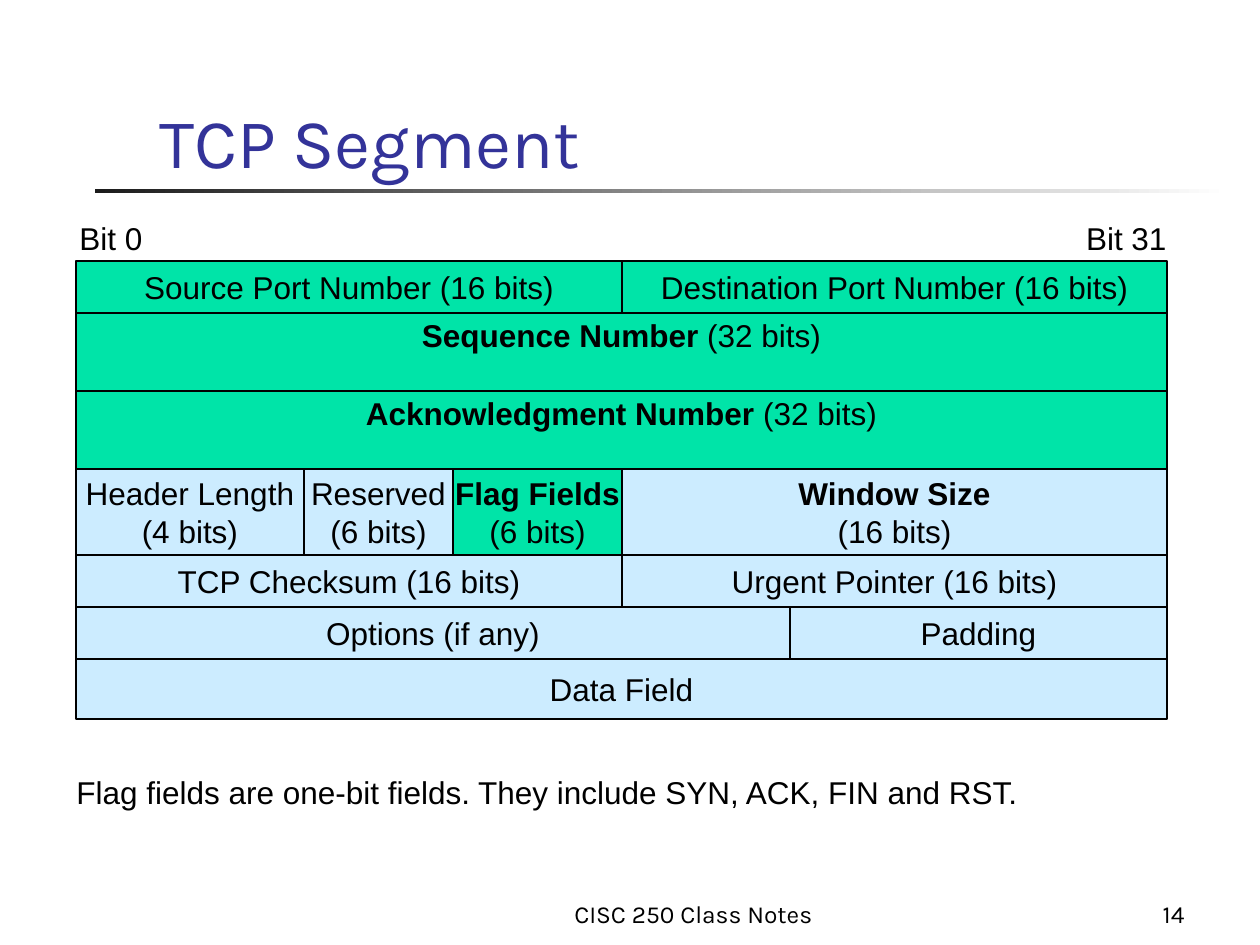
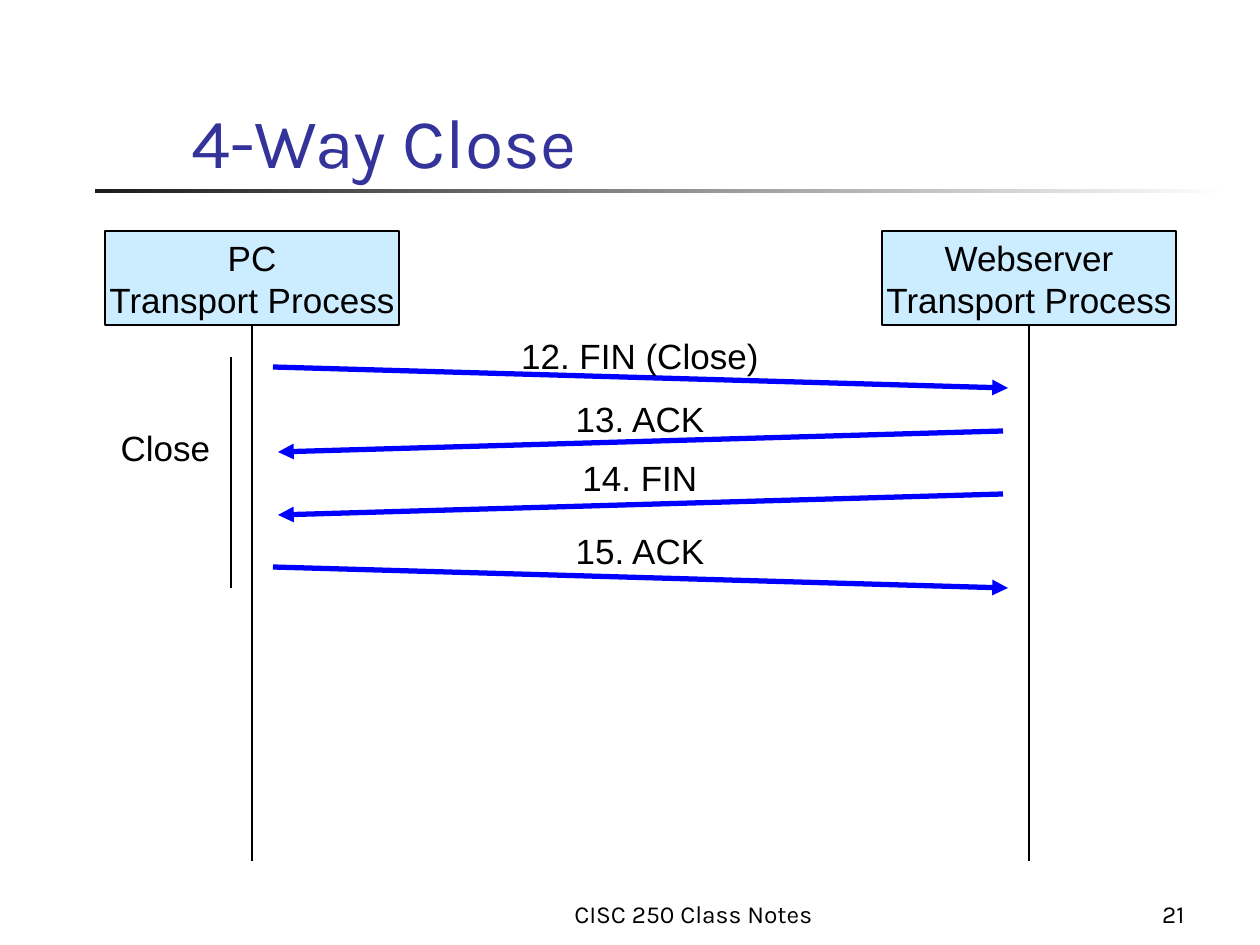
from lxml import etree
from pptx import Presentation
from pptx import util as u
from pptx.dml.color import RGBColor
from pptx.enum import shapes, text
from pptx.oxml.ns import qn

BLACK = RGBColor(0, 0, 0)
WHITE = RGBColor(255, 255, 255)
CHARCOAL = RGBColor(0x1C, 0x1C, 0x1C)
INDIGO = RGBColor(0x33, 0x33, 0x99)
GREEN = RGBColor(0x00, 0xE4, 0xA8)
SKY = RGBColor(0xCC, 0xEC, 0xFF)
BLUE = RGBColor(0, 0, 255)
BODY, HEADING = "Arial", "Karla"
LEFT, CENTER, RIGHT = text.PP_ALIGN.LEFT, text.PP_ALIGN.CENTER, text.PP_ALIGN.RIGHT
TOP, MIDDLE, BOTTOM = text.MSO_ANCHOR.TOP, text.MSO_ANCHOR.MIDDLE, text.MSO_ANCHOR.BOTTOM

FOOTER = "CISC 250 Class Notes"

# Text between ** marks is bold.
FIELD_LEFT = 76
HALF, FULL = 622, 1167
FIELD_TOP = 261
FIELD_ROWS = [
    (52, MIDDLE, [(HALF, GREEN, ["Source Port Number (16 bits)"]),
                  (FULL, GREEN, ["Destination Port Number (16 bits)"])]),
    (78, TOP, [(FULL, GREEN, ["**Sequence Number** (32 bits)"])]),
    (78, TOP, [(FULL, GREEN, ["**Acknowledgment Number** (32 bits)"])]),
    (86, MIDDLE, [(304, SKY, ["Header Length", "(4 bits)"]),
                  (453, SKY, ["Reserved", "(6 bits)"]),
                  (HALF, GREEN, ["**Flag Fields**", "(6 bits)"]),
                  (FULL, SKY, ["**Window Size**", "(16 bits)"])]),
    (52, MIDDLE, [(HALF, SKY, ["TCP Checksum (16 bits)"]),
                  (FULL, SKY, ["Urgent Pointer (16 bits)"])]),
    (52, MIDDLE, [(790, SKY, ["Options (if any)"]),
                  (FULL, SKY, ["Padding"])]),
    (60, MIDDLE, [(FULL, SKY, ["Data Field"])]),
]
SEGMENT_NOTES = [
    ("Bit 0", (67, 213, 88, 50), CENTER),
    ("Bit 31", (1073, 213, 106, 50), RIGHT),
    ("Flag fields are one-bit fields. They include SYN, ACK, FIN and RST.",
     (64, 767, 973, 50), LEFT),
]

HOSTS = [("PC", 252), ("Webserver", 1029)]
HOST_W, HOST_H, HOST_TOP = 294, 94, 231
LIFE_TOP, LIFE_END = 273, 861
TO_SERVER, TO_PC = (273, 1008), (1003, 278)
ARROW_DROP = 21
MESSAGE_MID = 640
MESSAGES = [
    ("12. FIN (Close)", TO_SERVER, 367, 328, 262),
    ("13. ACK", TO_PC, 431, 391, 156),
    ("14. FIN", TO_PC, 494, 450, 140),
    ("15. ACK", TO_SERVER, 567, 523, 156),
]


def px(n):
    return u.Emu(round(n * 914400 / 126))


def write(sp, lines, size, font=BODY, color=BLACK, align=CENTER, anchor=MIDDLE, wrap=False):
    tf = sp.text_frame
    tf.word_wrap = wrap
    tf.auto_size = text.MSO_AUTO_SIZE.NONE
    tf.vertical_anchor = anchor
    for i, line in enumerate(lines):
        p = tf.add_paragraph() if i else tf.paragraphs[0]
        p.alignment = align
        p.font.size = u.Pt(size)
        p.font.name = font
        p.font.color.rgb = color
        for j, part in enumerate(line.split("**")):
            if part:
                r = p.add_run()
                r.text = part
                if j % 2:
                    r.font.bold = True


def add_text(s, line, at, size, **style):
    sp = s.shapes.add_textbox(*map(px, at))
    write(sp, [line], size, **style)


def add_box(s, lines, at, fill, size, anchor=MIDDLE):
    sp = s.shapes.add_shape(shapes.MSO_SHAPE.RECTANGLE, *map(px, at))
    sp.shadow.inherit = False
    sp.fill.solid()
    sp.fill.fore_color.rgb = fill
    sp.line.color.rgb = BLACK
    sp.line.width = u.Pt(0.75)
    write(sp, lines, size, anchor=anchor)
    if anchor == TOP:
        sp.text_frame.margin_top = px(3)


def add_line(s, ends, color=BLACK, width=0.75, arrow=False):
    c = s.shapes.add_connector(shapes.MSO_CONNECTOR.STRAIGHT, *map(px, ends))
    c.line.color.rgb = color
    c.line.width = u.Pt(width)
    sp_pr = c._element.spPr
    if arrow:
        etree.SubElement(sp_pr.find(qn("a:ln")), qn("a:tailEnd"), type="triangle")
    etree.SubElement(sp_pr, qn("a:effectLst"))


def add_slide(prs, title, title_at, number):
    s = prs.slides.add_slide(prs.slide_layouts[5])
    rule = s.shapes.add_shape(shapes.MSO_SHAPE.RECTANGLE, *map(px, (95, 189, 1134, 4)))
    rule.shadow.inherit = False
    rule.line.fill.background()
    rule.fill.gradient()
    rule.fill.gradient_angle = 0
    for stop, position, color in zip(rule.fill.gradient_stops, (0, 1), (CHARCOAL, WHITE)):
        stop.position = position
        stop.color.rgb = color
    head = s.shapes.title
    head.left, head.top, head.width, head.height = map(px, title_at)
    write(head, [title], 40, HEADING, INDIGO, LEFT, BOTTOM, True)
    for line, at, align in [(FOOTER, (431, 872, 525, 63), CENTER),
                            (number, (1081, 872, 116, 63), RIGHT)]:
        add_text(s, line, at, 14, font=HEADING, align=align, anchor=BOTTOM, wrap=True)
    return s


def build_segment(prs):
    s = add_slide(prs, "TCP Segment", (147, 32, 1144, 157), "14")
    top = FIELD_TOP
    for height, anchor, fields in FIELD_ROWS:
        left = FIELD_LEFT
        for right, fill, lines in fields:
            add_box(s, lines, (left, top, right - left, height), fill, 18, anchor)
            left = right
        top += height
    for line, at, align in SEGMENT_NOTES:
        add_text(s, line, at, 18, align=align, anchor=TOP)


def build_close(prs):
    s = add_slide(prs, "4-Way Close", (179, 32, 1018, 157), "21")
    for host, mid in HOSTS:
        add_line(s, (mid, LIFE_TOP, mid, LIFE_END))
        add_box(s, [host, "Transport Process"],
                (mid - HOST_W / 2, HOST_TOP, HOST_W, HOST_H), SKY, 20)
    for label, (start, end), y, label_top, width in MESSAGES:
        add_line(s, (start, y, end, y + ARROW_DROP), BLUE, 3, arrow=True)
        add_text(s, label, (MESSAGE_MID - width / 2, label_top, width, 54), 20, anchor=TOP)
    add_line(s, (231, 357, 231, 588))
    add_text(s, "Close", (108, 420, 115, 97), 20, anchor=TOP)


def main():
    prs = Presentation()
    prs.slide_width, prs.slide_height = px(1260), px(945)
    build_segment(prs)
    build_close(prs)
    prs.save("out.pptx")


if __name__ == "__main__":
    main()
